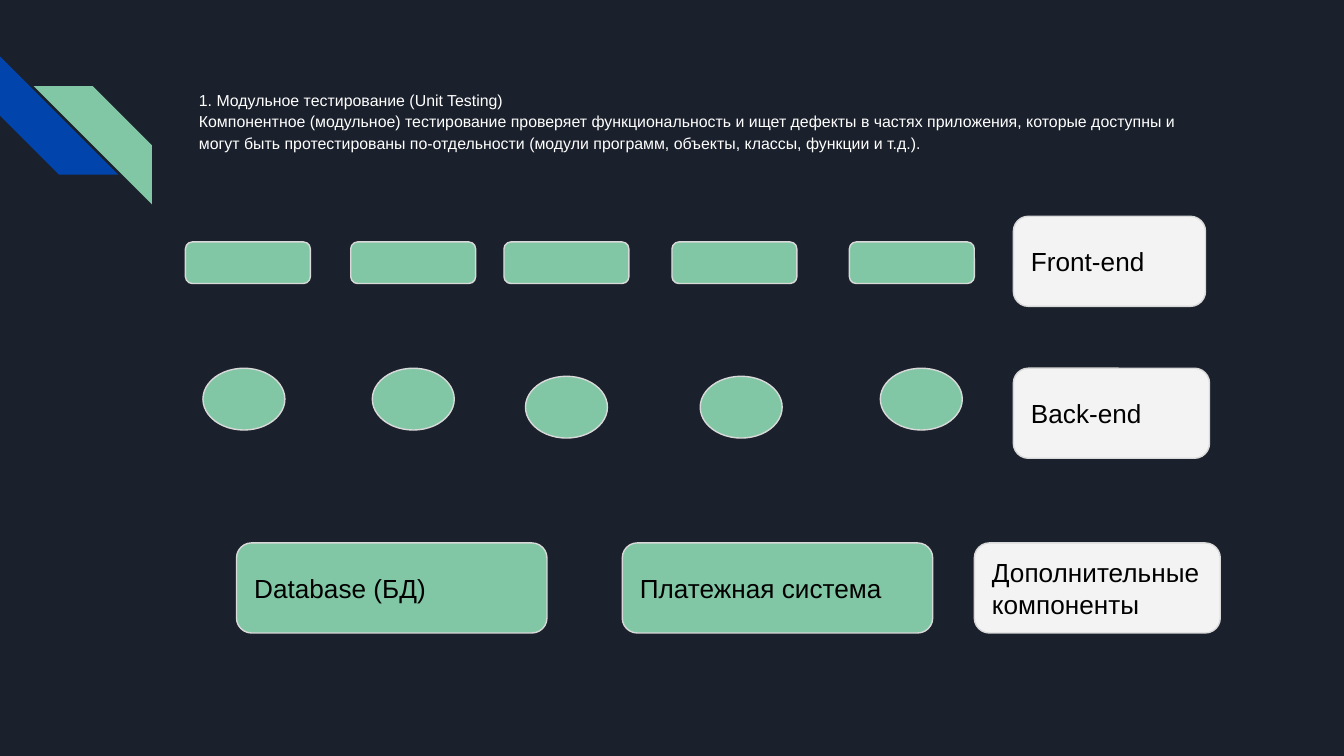
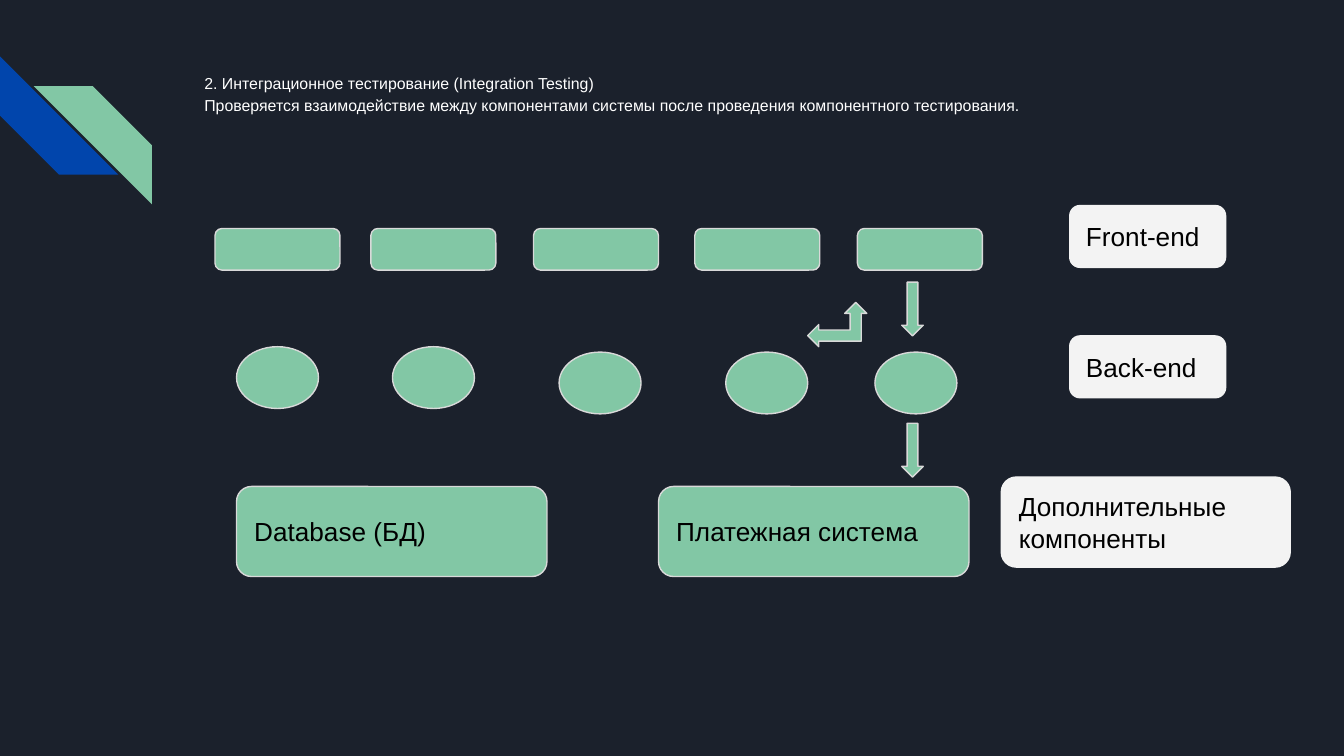
from lxml.etree import SubElement
from pptx import Presentation
from pptx.dml.color import RGBColor
from pptx.enum.shapes import MSO_SHAPE
from pptx.enum.text import MSO_ANCHOR, MSO_AUTO_SIZE, PP_ALIGN
from pptx.oxml.ns import qn
from pptx.util import Inches, Pt

COLORS = {
    "background": "1B212C",
    "blue": "0145AC",
    "green": "82C7A5",
    "outline": "D9D9D9",
    "label": "F3F3F3",
    "heading": "FFFFFF",
    "text": "000000",
}
FONT = "Arial"
SLIDE_WIDTH = Inches(10)
SLIDE_HEIGHT = SLIDE_WIDTH * 9 // 16
TITLE_AND_CONTENT, TITLE_ONLY = 1, 5
MODULE_SIZE = (0.93, 0.31)
SERVICE_SIZE = (0.61, 0.46)
COMPONENT_SIZE = (2.31, 0.67)
ARROW_SIZE = (0.16, 0.4)

UNIT_TESTING = {
    "layout": TITLE_AND_CONTENT,
    "heading": [
        "1. Модульное тестирование (Unit Testing)",
        "Компонентное (модульное) тестирование проверяет функциональность и ищет "
        "дефекты в частях приложения, которые доступны и могут быть протестированы "
        "по-отдельности (модули программ, объекты, классы, функции и т.д.).",
    ],
    "heading_box": (1.38, 0.55, 7.7, 4.85),
    "modules": [(left, 1.8) for left in (1.38, 2.61, 3.75, 5, 6.32)],
    "services": [(1.51, 2.74), (2.77, 2.74), (3.91, 2.8), (5.21, 2.8), (6.55, 2.74)],
    "components": [("Database (БД)", 1.76, 4.04), ("Платежная система", 4.63, 4.04)],
    "labels": [
        ("Front-end", (7.54, 1.61, 1.43, 0.67)),
        ("Back-end", (7.54, 2.74, 1.46, 0.67)),
        ("Дополнительные компоненты", (7.25, 4.04, 1.83, 0.67)),
    ],
    "label_line": "outline",
    "arrows": [],
}
INTEGRATION_TESTING = {
    "layout": TITLE_ONLY,
    "heading": [
        "2. Интеграционное тестирование (Integration Testing)",
        "Проверяется взаимодействие между компонентами системы после проведения "
        "компонентного тестирования.",
    ],
    "heading_box": (1.42, 0.43, 7.7, 1),
    "modules": [(left, 1.7) for left in (1.6, 2.76, 3.97, 5.17, 6.38)],
    "services": [(1.76, 2.58), (2.92, 2.58), (4.16, 2.62), (5.4, 2.62), (6.51, 2.62)],
    "components": [("Database (БД)", 1.76, 3.62), ("Платежная система", 4.9, 3.62)],
    "labels": [
        ("Front-end", (7.96, 1.53, 1.16, 0.46)),
        ("Back-end", (7.96, 2.5, 1.16, 0.46)),
        ("Дополнительные компоненты", (7.45, 3.55, 2.15, 0.67)),
    ],
    "label_line": "label",
    "arrows": [
        (MSO_SHAPE.DOWN_ARROW, (6.71, 2.1, *ARROW_SIZE)),
        (MSO_SHAPE.DOWN_ARROW, (6.71, 3.15, *ARROW_SIZE)),
        (MSO_SHAPE.LEFT_UP_ARROW, (6.01, 2.25, 0.44, 0.33)),
    ],
}


def color(name):
    return RGBColor.from_string(COLORS[name])


def set_text(shape, lines, size, font_color, anchor):
    frame = shape.text_frame
    frame.text = "\n".join(lines)
    frame.word_wrap = True
    frame.auto_size = MSO_AUTO_SIZE.NONE
    frame.vertical_anchor = anchor
    frame.margin_left = frame.margin_right = Inches(0.1)
    frame.margin_top = frame.margin_bottom = Inches(0.1)
    for paragraph in frame.paragraphs:
        paragraph.alignment = PP_ALIGN.LEFT
        paragraph.font.name = FONT
        paragraph.font.size = Pt(size)
        paragraph.font.color.rgb = color(font_color)


def add_figure(slide, kind, box, fill="green", line="outline", text=None):
    shape = slide.shapes.add_shape(kind, *map(Inches, box))
    shape.shadow.inherit = False
    shape.fill.solid()
    shape.fill.fore_color.rgb = color(fill)
    if line:
        shape.line.color.rgb = color(line)
        shape.line.width = Pt(0.75)
    else:
        shape.line.fill.background()
    if text:
        set_text(shape, [text], 14, "text", MSO_ANCHOR.MIDDLE)
    return shape


def add_corner_stripes(slide):
    blue = add_figure(slide, MSO_SHAPE.DIAGONAL_STRIPE, (0, 0.42, 0.88, 0.88), "blue", None)
    blue.rotation = 270
    green = add_figure(slide, MSO_SHAPE.DIAGONAL_STRIPE, (0.25, 0.64, 0.88, 0.88), "green", None)
    green.element.spPr.find(qn("a:xfrm")).set("flipH", "1")


def add_heading(slide, lines, box):
    *unused, heading = slide.placeholders
    for placeholder in unused:
        placeholder.element.getparent().remove(placeholder.element)
    heading.left, heading.top, heading.width, heading.height = map(Inches, box)
    set_text(heading, lines, 8.5, "heading", MSO_ANCHOR.TOP)
    for paragraph in heading.text_frame.paragraphs:
        paragraph.line_spacing = 1.15
        paragraph.space_before = Pt(0)
        properties = paragraph._p.get_or_add_pPr()
        properties.set("marL", "0")
        properties.set("indent", "0")
        SubElement(properties, qn("a:buNone"))
        properties.append(properties.find(qn("a:defRPr")))


def add_diagram_slide(presentation, content):
    slide = presentation.slides.add_slide(presentation.slide_layouts[content["layout"]])
    add_corner_stripes(slide)
    add_heading(slide, content["heading"], content["heading_box"])
    for position in content["modules"]:
        add_figure(slide, MSO_SHAPE.ROUNDED_RECTANGLE, position + MODULE_SIZE)
    for position in content["services"]:
        add_figure(slide, MSO_SHAPE.OVAL, position + SERVICE_SIZE)
    for text, left, top in content["components"]:
        add_figure(slide, MSO_SHAPE.ROUNDED_RECTANGLE, (left, top, *COMPONENT_SIZE), text=text)
    for text, box in content["labels"]:
        add_figure(slide, MSO_SHAPE.ROUNDED_RECTANGLE, box, "label", content["label_line"], text)
    for kind, box in content["arrows"]:
        add_figure(slide, kind, box)


def main():
    presentation = Presentation()
    presentation.slide_width = SLIDE_WIDTH
    presentation.slide_height = SLIDE_HEIGHT
    background = presentation.slide_master.background.fill
    background.solid()
    background.fore_color.rgb = color("background")
    for content in (UNIT_TESTING, INTEGRATION_TESTING):
        add_diagram_slide(presentation, content)
    presentation.save("out.pptx")


if __name__ == "__main__":
    main()
